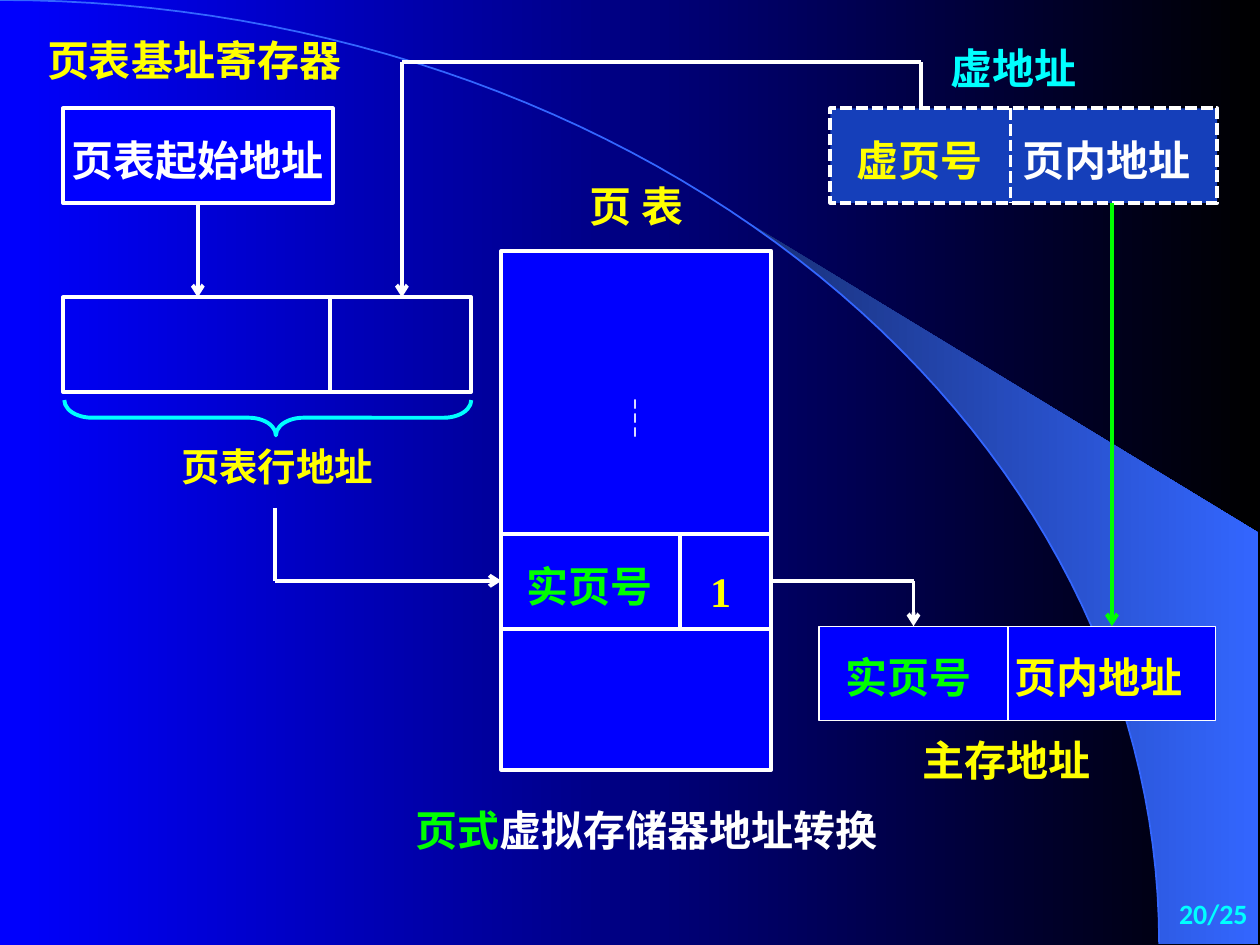
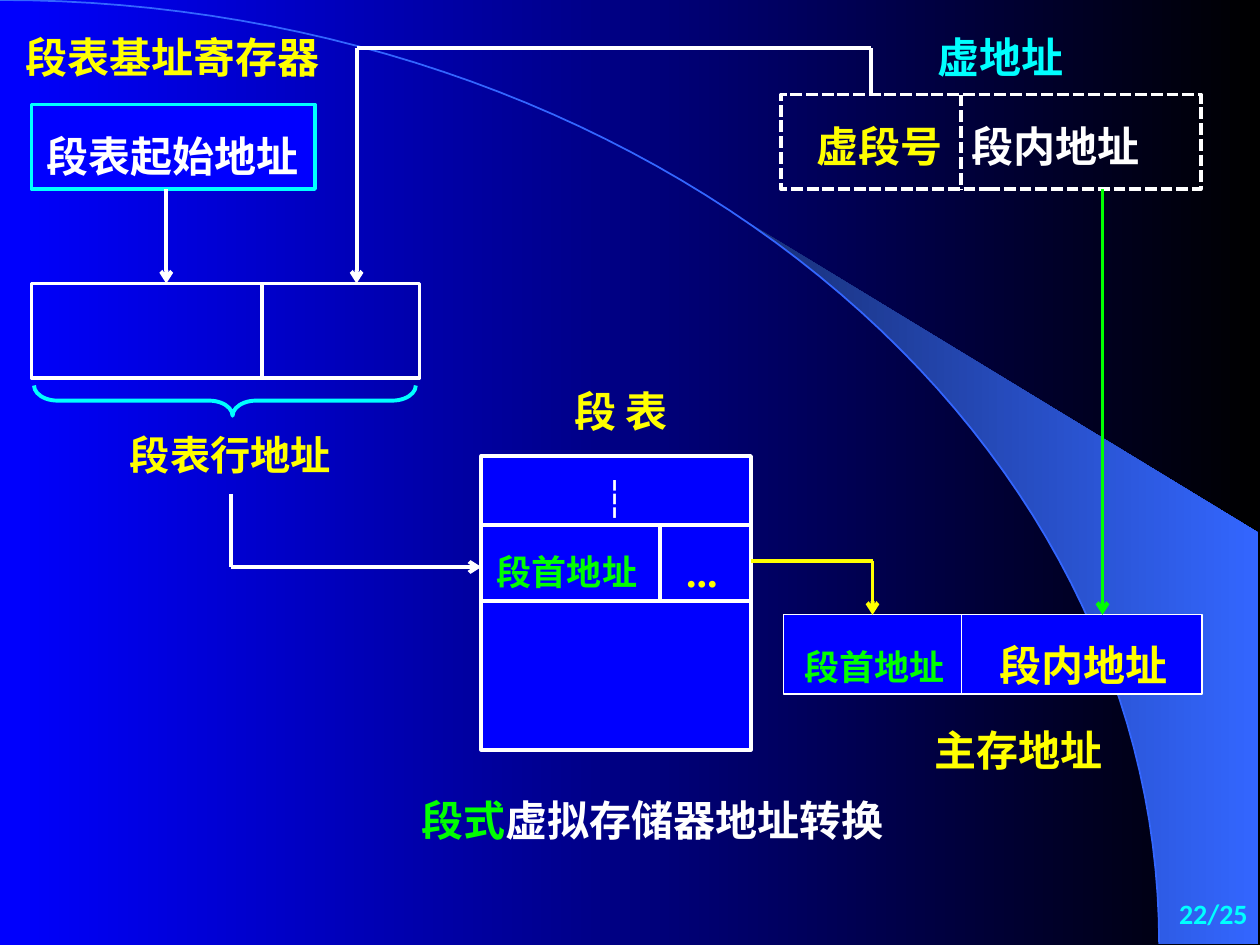
"""Build two slides on address translation in paged and segmented virtual memory."""
from dataclasses import dataclass
from math import asin, cos, pi, sin

from lxml import etree
from pptx import Presentation
from pptx.dml.color import RGBColor
from pptx.enum.dml import MSO_LINE
from pptx.enum.shapes import MSO_CONNECTOR, MSO_SHAPE
from pptx.enum.text import MSO_ANCHOR, PP_ALIGN
from pptx.oxml.ns import qn
from pptx.util import Inches, Pt


@dataclass(frozen=True)
class Theme:
    """Colours, fonts, type sizes and line widths."""
    blue: str = "0000FF"
    black: str = "000000"
    white: str = "FFFFFF"
    yellow: str = "FFFF00"
    green: str = "00FF00"
    cyan: str = "00FFFF"
    royal: str = "153FBA"
    sheen_dark: str = "182F76"
    sheen_light: str = "3366FF"
    serif: str = "Times New Roman"
    sans: str = "Arial"
    cjk: str = "Noto Sans CJK SC"
    footer_font: str = "Calibri"
    body: int = 24
    small: int = 20
    footer: int = 16
    thick: float = 2.25
    thin: float = 0.75
    arc: float = 1
    glyph_middle: float = 0.64


T = Theme()
COLUMNS, ROWS = 100, 75
UNIT = Inches(10) / COLUMNS
ARC_WIDTH, ARC_HEIGHT, SHEEN_START = 92, 74.9, 58.9
FOOTER_AREA = (79.2, 70, 20.8, 5)


def words(text, x, y, color=T.yellow, size=T.body, font=T.serif):
    """Describe text centred on a grid point; text is a string or coloured runs."""
    runs = [(text, color)] if isinstance(text, str) else text
    return {"runs": runs, "x": x, "y": y, "size": size, "font": font}


def box(area, fill=T.blue, line=T.white, width=T.thick, dashed=False, label=None):
    """Describe a rectangle."""
    return {"area": area, "fill": fill, "line": line, "width": width,
            "dashed": dashed, "label": label}


def route(*points, color=T.white, arrow=True, dashed=False):
    """Describe a chain of straight lines."""
    return {"points": points, "color": color, "arrow": arrow, "dashed": dashed}


def divider(start, end, dashed=False):
    """Describe a plain line between cells."""
    return route(start, end, arrow=False, dashed=dashed)


PAGED = {
    "number": "20/25",
    "boxes": [
        box((5, 8.6, 21.4, 7.5), label=words("页表起始地址", 15.7, 12.8, T.white)),
        box((5, 23.6, 32.4, 7.5), fill=None),
        box((65.9, 8.6, 30.7, 7.5), fill=T.royal, dashed=True),
        box((39.8, 19.9, 21.4, 41.2)),
        box((65, 49.7, 15, 7.5), width=T.thin,
            label=words("实页号", 72.1, 53.8, T.green)),
        box((80, 49.7, 16.5, 7.5), width=T.thin,
            label=words("页内地址", 87.2, 53.8)),
    ],
    "brace": (5.1, 31.75, 32.3, 2.8),
    "routes": [
        divider((26.2, 23.6), (26.2, 31.1)),
        divider((80.2, 8.6), (80.2, 16.1), dashed=True),
        divider((39.8, 42.4), (61.2, 42.4)),
        divider((39.8, 49.9), (61.2, 49.9)),
        divider((54, 42.4), (54, 49.9)),
        route((15.7, 16.1), (15.7, 23.6)),
        route((73.1, 8.6), (73.1, 4.9), (31.9, 4.9), (31.9, 23.6)),
        route((21.8, 40.3), (21.8, 46.1), (39.8, 46.1)),
        route((61.2, 46.1), (72.5, 46.1), (72.5, 49.7)),
        route((88.25, 16.1), (88.25, 49.7), color=T.green),
    ],
    "labels": [
        words("页表基址寄存器", 15.4, 4.9),
        words("虚地址", 80.4, 5.5, T.cyan),
        words("虚页号", 73, 12.8),
        words("页内地址", 87.8, 12.8, T.white),
        words("页 表", 50.5, 16.5, font=T.cjk),
        words("┆", 50.4, 33.3, T.white, font=T.cjk),
        words("页表行地址", 22, 37.1, size=22),
        words("实页号", 46.8, 46.6, T.green),
        words("1", 57.2, 47, T.yellow),
        words("主存地址", 79.9, 60.4, font=T.cjk),
        words([("页式", T.green), ("虚拟存储器地址转换", T.white)], 51.3, 65.95),
    ],
}

SEGMENTED = {
    "number": "22/25",
    "boxes": [
        box((2.5, 8.3, 22.5, 6.7), line=T.cyan,
            label=words("段表起始地址", 13.7, 12.5, T.white, font=T.cjk)),
        box((2.5, 22.5, 30.8, 7.5), fill=None),
        box((62, 7.5, 33.3, 7.5), fill=None, dashed=True),
        box((38.2, 36.2, 21.4, 23.3)),
        box((62.2, 48.8, 14.1, 6.3), width=T.thin,
            label=words("段首地址", 69.4, 53, T.green, T.small, T.sans)),
        box((76.3, 48.8, 19.1, 6.3), width=T.thin,
            label=words("段内地址", 86, 52.9, font=T.sans)),
    ],
    "brace": (2.7, 30.6, 30.3, 2.4),
    "routes": [
        divider((20.8, 22.5), (20.8, 30)),
        divider((76.3, 7.5), (76.3, 15), dashed=True),
        divider((38.2, 41.7), (59.6, 41.7)),
        divider((38.2, 47.7), (59.6, 47.7)),
        divider((52.4, 41.7), (52.4, 47.7)),
        route((13.2, 15), (13.2, 22.5)),
        route((69.1, 7.5), (69.1, 3.8), (28.3, 3.8), (28.3, 22.5)),
        route((18.3, 39.2), (18.3, 45), (38.2, 45)),
        route((59.6, 44.5), (69.25, 44.5), (69.25, 48.8), color=T.yellow),
        route((87.5, 15), (87.5, 48.8), color=T.green),
    ],
    "labels": [
        words("段表基址寄存器", 13.7, 4.6),
        words("虚地址", 79.4, 4.6, T.cyan),
        words("虚段号", 69.8, 11.7, font=T.cjk),
        words("段内地址", 83.8, 11.7, T.white, font=T.cjk),
        words("段 表", 49.3, 32.7, font=T.cjk),
        words("┆", 48.8, 39.6, T.white, T.small),
        words("段表行地址", 18.3, 36.2, size=23),
        words("段首地址", 45, 45.5, T.green, T.small),
        words("...", 55.7, 45.4),
        words("主存地址", 80.8, 59.6),
        words([("段式", T.green), ("虚拟存储器地址转换", T.white)],
              51.8, 65.2, font=T.sans),
    ],
}


def grid(*values):
    """Turn grid units into slide lengths."""
    return [round(value * UNIT) for value in values]


def rgb(color):
    """Turn a hex string into a colour."""
    return RGBColor.from_string(color)


def shade(fill, start, end):
    """Fill with a gradient from left to right."""
    fill.gradient()
    fill.gradient_angle = 0
    for stop, color in zip(fill.gradient_stops, (start, end)):
        stop.color.rgb = rgb(color)


def stroke(line, color, width, dashed=False):
    """Style a line."""
    line.color.rgb = rgb(color)
    line.width = Pt(width)
    if dashed:
        line.dash_style = MSO_LINE.SQUARE_DOT


def write(frame, label, align=PP_ALIGN.CENTER):
    """Write the runs of a label into a text frame without insets."""
    frame.margin_left = frame.margin_right = frame.margin_top = frame.margin_bottom = 0
    frame.vertical_anchor = MSO_ANCHOR.TOP
    paragraph = frame.paragraphs[0]
    paragraph.alignment = align
    for text, color in label["runs"]:
        run = paragraph.add_run()
        run.text = text
        run.font.name, run.font.size, run.font.bold = label["font"], Pt(label["size"]), True
        run.font.color.rgb = rgb(color)


def text_top(label):
    """Find the top of a line whose glyphs are centred on the label's row."""
    return label["y"] - T.glyph_middle * Pt(label["size"]) / UNIT


def draw_label(slide, label):
    """Place free text around its centre."""
    em = Pt(label["size"]) / UNIT
    width = em * (sum(len(text) for text, _ in label["runs"]) + 0.5)
    area = grid(label["x"] - width / 2, text_top(label), width, 1.45 * em)
    frame = slide.shapes.add_textbox(*area).text_frame
    frame.word_wrap = False
    write(frame, label)


def draw_box(slide, spec_box):
    """Draw a rectangle, with its text when it has one."""
    left, top, width, _ = spec_box["area"]
    shape = slide.shapes.add_shape(MSO_SHAPE.RECTANGLE, *grid(*spec_box["area"]))
    shape.shadow.inherit = False
    if spec_box["fill"]:
        shape.fill.solid()
        shape.fill.fore_color.rgb = rgb(spec_box["fill"])
    else:
        shape.fill.background()
    stroke(shape.line, spec_box["line"], spec_box["width"], spec_box["dashed"])
    label = spec_box["label"]
    if label:
        frame = shape.text_frame
        write(frame, label)
        shift = 2 * label["x"] - 2 * left - width
        frame.margin_left, frame.margin_right, frame.margin_top = grid(
            max(shift, 0), max(-shift, 0), text_top(label) - top)
    return shape


def side_middles(area):
    """List the middles of a rectangle's sides in connection order."""
    left, top, width, height = area
    x, y = left + width / 2, top + height / 2
    return [(x, top), (left, y), (x, top + height), (left + width, y)]


def join(connect, point, boxes):
    """Join a line end to the rectangle whose side it meets in the middle."""
    for shape, area in boxes:
        for side, (x, y) in enumerate(side_middles(area)):
            if abs(x - point[0]) + abs(y - point[1]) < 0.1:
                connect(shape, side)
                return


def draw_route(slide, chain, boxes):
    """Draw a chain of connectors, with an arrowhead on the last one."""
    points = chain["points"]
    for start, end in zip(points, points[1:]):
        connector = slide.shapes.add_connector(
            MSO_CONNECTOR.STRAIGHT, *grid(*start, *end))
        stroke(connector.line, chain["color"], T.thick, chain["dashed"])
        join(connector.begin_connect, start, boxes)
        join(connector.end_connect, end, boxes)
        properties = connector._element.spPr
        if chain["arrow"] and end == points[-1]:
            outline = properties.find(qn("a:ln"))
            etree.SubElement(outline, qn("a:tailEnd"), type="arrow")
        etree.SubElement(properties, qn("a:effectLst"))


def draw_brace(slide, area):
    """Draw a brace that points down, as a right brace turned a quarter."""
    left, top, width, height = area
    x, y = left + width / 2, top + height / 2
    brace = slide.shapes.add_shape(
        MSO_SHAPE.RIGHT_BRACE, *grid(x - height / 2, y - width / 2, height, width))
    brace.rotation = 90
    brace.adjustments[0], brace.adjustments[1] = 0.78, 0.48
    brace.shadow.inherit = False
    brace.fill.background()
    stroke(brace.line, T.cyan, T.thick)


def arc_points(first_x, steps=60):
    """Sample the quarter ellipse from a column to its lower end."""
    first = asin(first_x / ARC_WIDTH)
    angles = [first + (pi / 2 - first) * step / steps for step in range(steps + 1)]
    return [(ARC_WIDTH * sin(a), ARC_HEIGHT * (1 - cos(a))) for a in angles]


def draw_outline(slide, points, close):
    """Draw a freeform through grid points."""
    first, *others = [grid(*point) for point in points]
    builder = slide.shapes.build_freeform(*first, scale=1.0)
    builder.add_line_segments(others, close=close)
    shape = builder.convert_to_shape()
    shape.shadow.inherit = False
    return shape


def draw_backdrop(slide):
    """Draw the bright sheen and the arc along it."""
    corners = [(99.9, ARC_HEIGHT), (99.9, 42.3)]
    sheen = draw_outline(slide, arc_points(SHEEN_START) + corners, True)
    shade(sheen.fill, T.sheen_dark, T.sheen_light)
    sheen.line.fill.background()
    arc = draw_outline(slide, arc_points(0), False)
    arc.fill.background()
    stroke(arc.line, T.sheen_light, T.arc)


def draw_footer(slide, number):
    """Write the page number in the lower right corner."""
    frame = slide.shapes.add_textbox(*grid(*FOOTER_AREA)).text_frame
    frame.word_wrap = True
    write(frame, words(number, 0, 0, T.cyan, T.footer, T.footer_font), PP_ALIGN.RIGHT)
    frame.margin_right = grid(1)[0]
    frame.vertical_anchor = MSO_ANCHOR.MIDDLE


def build_slide(deck, content):
    """Build one slide from its content."""
    slide = deck.slides.add_slide(deck.slide_layouts[6])
    draw_backdrop(slide)
    boxes = [(draw_box(slide, item), item["area"]) for item in content["boxes"]]
    draw_brace(slide, content["brace"])
    for chain in content["routes"]:
        draw_route(slide, chain, boxes)
    for label in content["labels"]:
        draw_label(slide, label)
    draw_footer(slide, content["number"])


def main():
    """Build and save the deck."""
    deck = Presentation()
    deck.slide_width, deck.slide_height = grid(COLUMNS, ROWS)
    shade(deck.slide_master.background.fill, T.blue, T.black)
    for content in (PAGED, SEGMENTED):
        build_slide(deck, content)
    deck.save("out.pptx")


if __name__ == "__main__":
    main()
